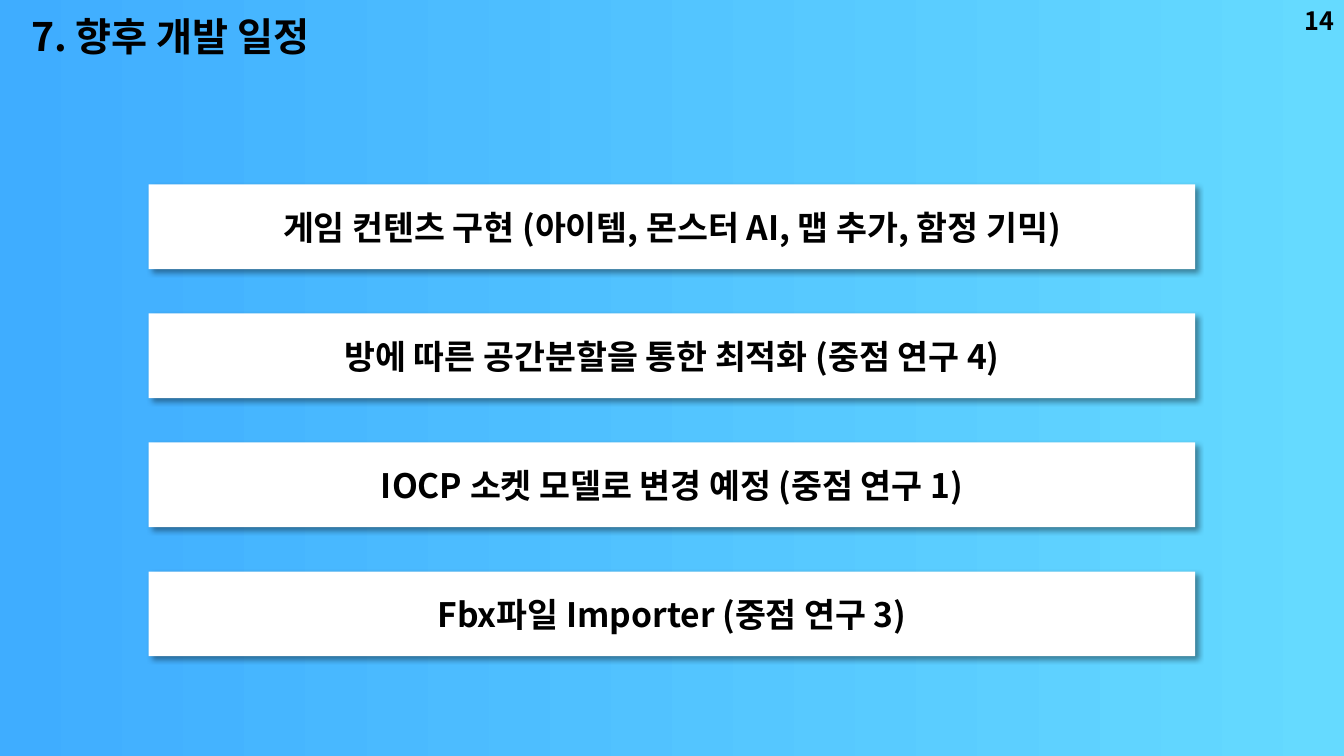
from dataclasses import dataclass

from lxml.etree import SubElement
from pptx import Presentation
from pptx.dml.color import RGBColor
from pptx.enum.shapes import MSO_SHAPE
from pptx.enum.text import MSO_ANCHOR, MSO_AUTO_SIZE, PP_ALIGN
from pptx.oxml import parse_xml
from pptx.oxml.ns import nsdecls, qn
from pptx.util import Inches, Pt

HEADING = "7. 향후 개발 일정"
PAGE_NUMBER = "14"
PLANS = [
    "게임 컨텐츠 구현 (아이템, 몬스터 AI, 맵 추가, 함정 기믹)",
    "방에 따른 공간분할을 통한 최적화 (중점 연구 4)",
    "IOCP 소켓 모델로 변경 예정 (중점 연구 1)",
    "Fbx파일 Importer (중점 연구 3)",
]


@dataclass(frozen=True)
class Theme:
    font: str = "Noto Sans CJK KR"
    ink: str = "000000"
    bar: str = "FFFFFF"
    sky: tuple = ("3FADFF", "65DAFF")
    heading_size: int = 28
    plan_size: int = 24
    page_size: int = 18


THEME = Theme()
SLIDE_W, SLIDE_H = 13.33, 7.5
BAR_W, BAR_H = 10.38, 0.84
BAR_TOP, BAR_PITCH = 1.83, 1.28
PAGE_W, PAGE_H = 3, 0.4


def write(frame, text, size, align, anchor):
    frame.text = text
    frame.vertical_anchor = anchor
    paragraph = frame.paragraphs[0]
    paragraph.alignment = align
    for run in paragraph.runs:
        run.font.size = Pt(size)
        run.font.bold = True
        run.font.color.rgb = RGBColor.from_string(THEME.ink)
        run.font.name = THEME.font
        # Hangul takes its typeface from the East Asian slot
        SubElement(run.font._element, qn("a:ea"), typeface=THEME.font)


def paint_background(slide):
    fill = slide.background.fill
    fill.gradient()
    fill.gradient_angle = 0
    for stop, color, position in zip(fill.gradient_stops, THEME.sky, (0, 1)):
        stop.color.rgb = RGBColor.from_string(color)
        stop.position = position


def add_drop_shadow(shape):
    shape._element.spPr.append(parse_xml(
        f'<a:effectLst {nsdecls("a")}>'
        f'<a:outerShdw blurRad="{Pt(4)}" dist="{Pt(3)}" dir="2700000" '
        'algn="tl" rotWithShape="0"><a:srgbClr val="000000">'
        '<a:alpha val="40000"/></a:srgbClr></a:outerShdw></a:effectLst>'))


def add_plan_bar(slide, row, plan):
    bar = slide.shapes.add_shape(
        MSO_SHAPE.RECTANGLE, Inches((SLIDE_W - BAR_W) / 2),
        Inches(BAR_TOP + row * BAR_PITCH), Inches(BAR_W), Inches(BAR_H))
    bar.fill.solid()
    bar.fill.fore_color.rgb = RGBColor.from_string(THEME.bar)
    bar.line.fill.background()
    add_drop_shadow(bar)
    bar.text_frame.word_wrap = True
    write(bar.text_frame, plan, THEME.plan_size, PP_ALIGN.CENTER, MSO_ANCHOR.MIDDLE)


def main():
    deck = Presentation()
    deck.slide_width, deck.slide_height = Inches(SLIDE_W), Inches(SLIDE_H)
    slide = deck.slides.add_slide(deck.slide_layouts.get_by_name("Title Only"))
    paint_background(slide)

    heading = slide.shapes.title
    heading.left, heading.top = Inches(0.21), Inches(0.07)
    heading.width, heading.height = Inches(3.3), Inches(0.57)
    heading.text_frame.word_wrap = False
    heading.text_frame.auto_size = MSO_AUTO_SIZE.SHAPE_TO_FIT_TEXT
    write(heading.text_frame, HEADING, THEME.heading_size, PP_ALIGN.LEFT, MSO_ANCHOR.TOP)

    page = slide.shapes.add_textbox(
        Inches(SLIDE_W - PAGE_W), 0, Inches(PAGE_W), Inches(PAGE_H))
    page.text_frame.word_wrap = True
    write(page.text_frame, PAGE_NUMBER, THEME.page_size, PP_ALIGN.RIGHT, MSO_ANCHOR.MIDDLE)

    for row, plan in enumerate(PLANS):
        add_plan_bar(slide, row, plan)
    deck.save("out.pptx")


if __name__ == "__main__":
    main()
